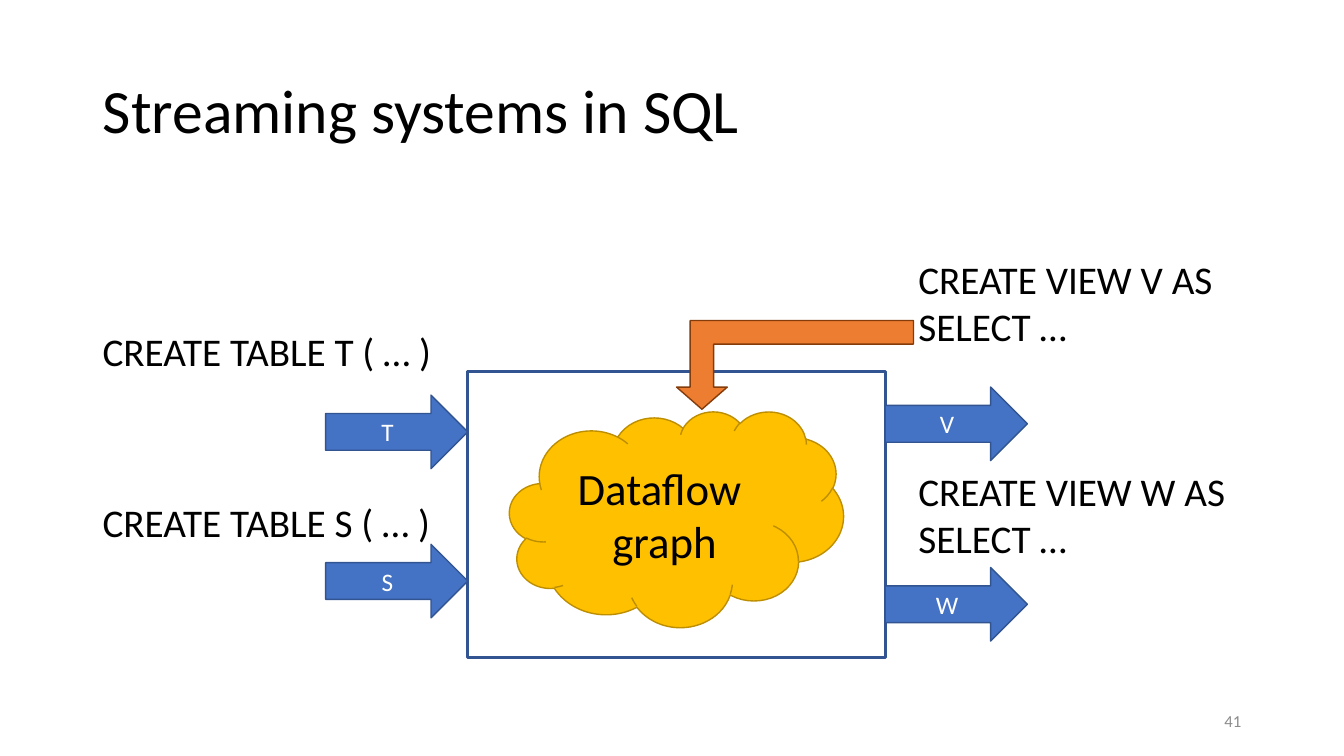
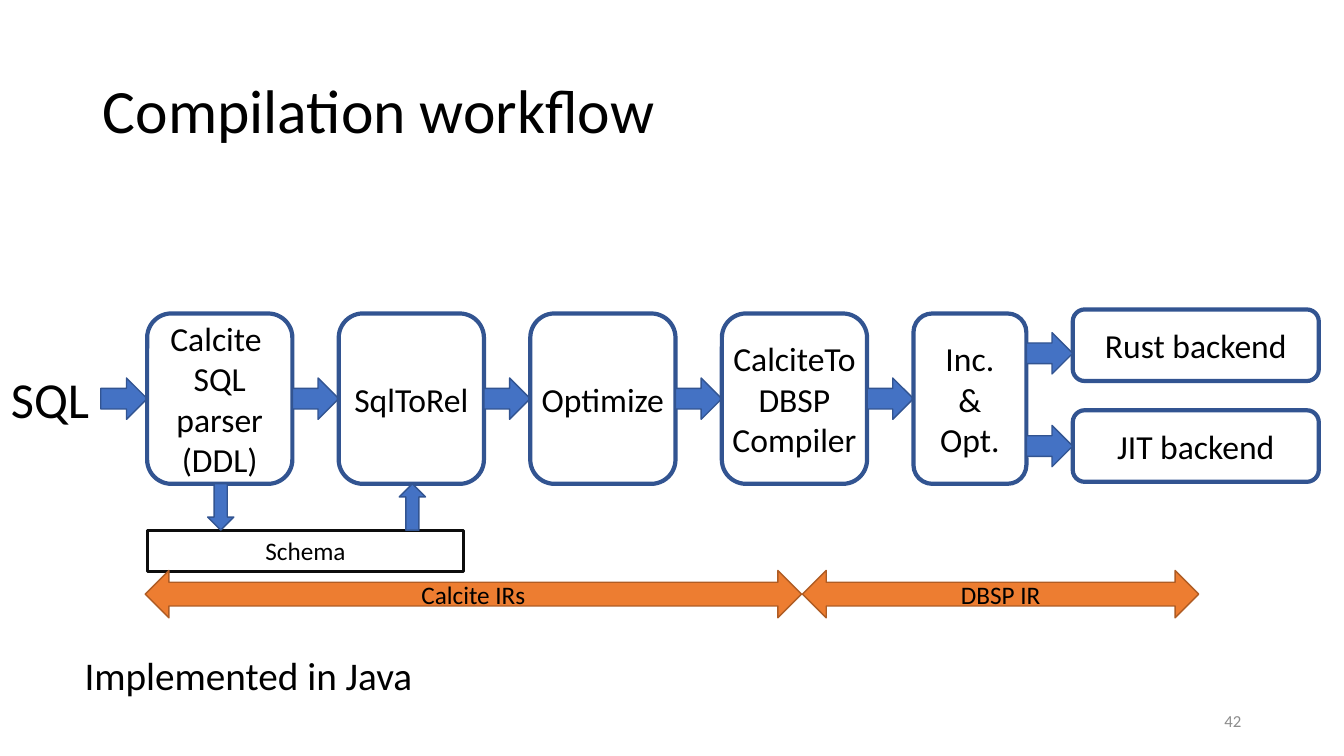
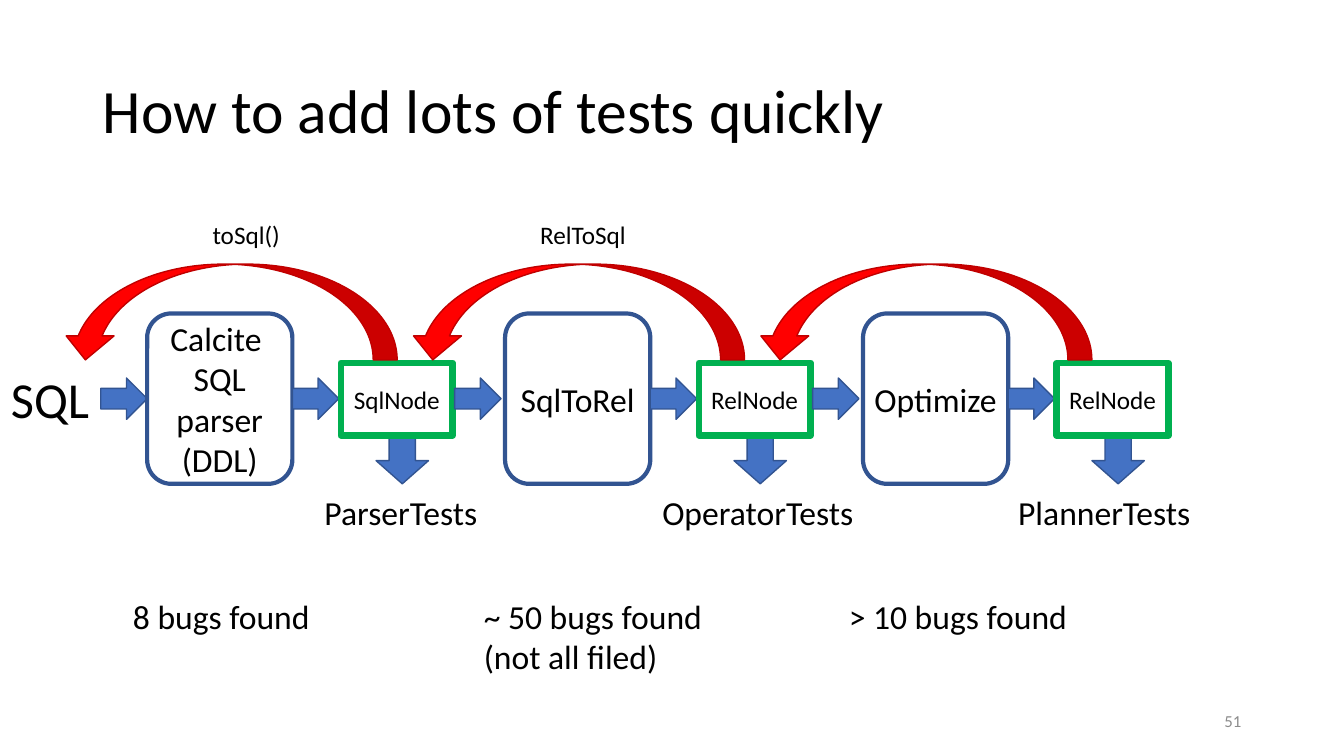
from pptx import Presentation
from pptx.dml.color import RGBColor
from pptx.enum.shapes import MSO_SHAPE as SHAPE
from pptx.enum.text import MSO_ANCHOR as ANCHOR, PP_ALIGN as ALIGN
from pptx.oxml.ns import qn
from pptx.util import Inches, Pt

FONT = "Calibri"
BLACK = RGBColor(0x00, 0x00, 0x00)
WHITE = RGBColor(0xFF, 0xFF, 0xFF)
GREY = RGBColor(0x8C, 0x8C, 0x8C)
INK = RGBColor(0x0D, 0x0D, 0x0D)
BLUE = RGBColor(0x44, 0x72, 0xC4)
NAVY = RGBColor(0x32, 0x54, 0x91)
ORANGE = RGBColor(0xED, 0x7D, 0x31)
RUST = RGBColor(0xAF, 0x5C, 0x24)
BROWN = RGBColor(0x84, 0x3C, 0x0B)
GOLD = RGBColor(0xFF, 0xC0, 0x00)
DARK_GOLD = RGBColor(0xBD, 0x8E, 0x00)
GREEN = RGBColor(0x00, 0xB0, 0x50)
RED = RGBColor(0xFF, 0x00, 0x00)
DARK_RED = RGBColor(0xC0, 0x00, 0x00)

# The pipeline row shared by the workflow and testing slides
ROW_LEFT, ROW_TOP = 1.46, 3.11
STAGE_W, STAGE_H = 1.44, 1.69
STEP_W, STEP_H = 0.46, 0.41
STEP_TOP = ROW_TOP + 0.64
PARSER = "Calcite \vSQL parser\v(DDL)"


def write(tf, text, size, color=BLACK, align=ALIGN.LEFT, anchor=ANCHOR.TOP,
          wrap=True, spacing=None, gap=0):
    """Fill a frame: newline starts a paragraph, vertical tab breaks a line."""
    tf.word_wrap = wrap
    tf.vertical_anchor = anchor
    for i, para in enumerate(text.split("\n")):
        p = tf.paragraphs[0] if i == 0 else tf.add_paragraph()
        p.alignment = align
        if spacing:
            p.line_spacing = spacing
        if i and gap:
            p.space_before = Pt(gap)
        for j, line in enumerate(para.split("\v")):
            if j:
                p.add_line_break()
            r = p.add_run()
            r.text = line
            r.font.name, r.font.size = FONT, Pt(size)
            r.font.color.rgb = color


def add_text(slide, box, text, size, **style):
    tb = slide.shapes.add_textbox(*map(Inches, box))
    write(tb.text_frame, text, size, **style)


def add_box(slide, kind, box, fill=None, line=NAVY, weight=1,
            text="", size=18, color=BLACK, wrap=True):
    s = slide.shapes.add_shape(kind, *map(Inches, box))
    s.shadow.inherit = False
    if fill is None:
        s.fill.background()
    else:
        s.fill.solid()
        s.fill.fore_color.rgb = fill
    s.line.color.rgb = line
    s.line.width = Pt(weight)
    if text:
        write(s.text_frame, text, size, color, ALIGN.CENTER, ANCHOR.MIDDLE, wrap)
    return s


def add_slide(prs, title, number):
    slide = prs.slides.add_slide(prs.slide_layouts[5])
    s = slide.shapes.title
    s.left, s.top, s.width, s.height = map(Inches, (0.92, 0.4, 11.5, 1.45))
    write(s.text_frame, title, 44, anchor=ANCHOR.MIDDLE, spacing=0.9)
    add_text(slide, (11.99, 6.95, 0.42, 0.4), str(number), 12, color=GREY,
             align=ALIGN.RIGHT, anchor=ANCHOR.MIDDLE)
    return slide


def add_stage(slide, left, text, width=STAGE_W, top=ROW_TOP, height=STAGE_H):
    add_box(slide, SHAPE.ROUNDED_RECTANGLE, (left, top, width, height), weight=3,
            text=text, size=24, wrap=text == PARSER)


def add_step(slide, left, top=STEP_TOP):
    add_box(slide, SHAPE.RIGHT_ARROW, (left, top, STEP_W, STEP_H), BLUE)


def add_sql_input(slide):
    add_text(slide, (0.01, 3.6, 0.99, 0.71), "SQL", 36, wrap=False)
    add_step(slide, ROW_LEFT - STEP_W)


def add_engine(slide, left, top, width, height):
    """Frame with its inputs, its outputs and the graph inside."""
    add_box(slide, SHAPE.RECTANGLE, (left, top, width, height), weight=2.25)
    arrow_w, arrow_h = 1.41, 0.73
    right = left + width
    for name, x, dy in (("T", left - arrow_w, 0.23), ("S", left - arrow_w, 1.71),
                        ("V", right, 0.15), ("W", right, 1.94)):
        add_box(slide, SHAPE.RIGHT_ARROW, (x, top + dy, arrow_w, arrow_h), BLUE,
                text=name, color=WHITE)
    bent = add_box(slide, SHAPE.BENT_UP_ARROW,
                   (left + width / 2, top - 0.51, 2.35, 0.88), ORANGE, BROWN)
    bent.rotation = 180
    for i, value in enumerate((0.265, 0.286, 0.25)):
        bent.adjustments[i] = value
    add_box(slide, SHAPE.CLOUD, (left + width * 0.1, top + 0.39, width * 0.8, 2.14),
            GOLD, DARK_GOLD, text="Dataflow \vgraph", size=32)


def streaming_slide(prs):
    slide = add_slide(prs, "Streaming systems in SQL", 41)
    add_text(slide, (0.92, 3.25, 4.14, 3.85),
             "CREATE TABLE T ( … )\nCREATE TABLE S ( … )", 28, spacing=0.9, gap=92)
    for view, top in (("V", 2.48), ("W", 4.59)):
        add_text(slide, (9.01, top, 4.04, 1.04),
                 f"CREATE VIEW {view} AS \vSELECT …", 28)
    add_engine(slide, 4.64, 3.69, 4.14, 2.83)


def add_backends(slide, left, top):
    for i, name in enumerate(("Rust backend", "JIT backend")):
        add_stage(slide, left + STEP_W, name, 2.44, top + i, 0.71)
        add_step(slide, left, top + 0.23 + 0.92 * i)


def add_schema(slide, left, top, pitch):
    """Schema store below the first two stages, with arrows in and out."""
    add_box(slide, SHAPE.RECTANGLE, (left, top + STEP_W, 3.14, 0.41),
            line=INK, weight=2.25, text="Schema")
    for i in range(2):
        arrow = add_box(slide, SHAPE.DOWN_ARROW,
                        (left + 0.6 + i * pitch, top, 0.26, STEP_W), BLUE)
        arrow.rotation = 180 * i


def workflow_slide(prs):
    slide = add_slide(prs, "Compilation workflow", 42)
    add_sql_input(slide)
    pitch = STAGE_W + STEP_W
    stages = (PARSER, "SqlToRel", "Optimize", "CalciteTo\vDBSP\vCompiler")
    for i, name in enumerate(stages):
        left = ROW_LEFT + i * pitch
        add_stage(slide, left, name)
        add_step(slide, left + STAGE_W)
    last, last_w = ROW_LEFT + len(stages) * pitch, 1.12
    add_stage(slide, last, "Inc.\v&\nOpt.", last_w)
    add_backends(slide, last + last_w, 3.07)
    add_schema(slide, ROW_LEFT, ROW_TOP + STAGE_H, pitch)
    for left, width, name in ((1.44, 6.51, "Calcite IRs"), (7.96, 3.93, "DBSP IR")):
        add_box(slide, SHAPE.LEFT_RIGHT_ARROW, (left, 5.66, width, 0.47),
                ORANGE, RUST, text=name)
    add_text(slide, (0.74, 6.41, 3.48, 0.57), "Implemented in Java", 28, wrap=False)


def add_tested_stage(slide, left, stage, node):
    """Stage, the node it produces and the arrow down to its tests."""
    node_left, node_w = left + 1.92, 1.11
    add_stage(slide, left, stage)
    add_step(slide, left + STAGE_W)
    add_box(slide, SHAPE.DOWN_ARROW, (left + 2.27, 4.34, 0.52, STEP_W), BLUE)
    add_box(slide, SHAPE.RECTANGLE, (node_left, 3.6, node_w, 0.72),
            line=GREEN, weight=4.5, text=node)
    return node_left + node_w


def add_back_arrow(slide, left):
    s = add_box(slide, SHAPE.CURVED_DOWN_ARROW, (left, 2.62, 3.33, 0.95), RED, DARK_RED)
    s._element.spPr.find(qn("a:xfrm")).set("flipH", "1")


def testing_slide(prs):
    slide = add_slide(prs, "How to add lots of tests quickly", 51)
    add_sql_input(slide)
    stages = ((PARSER, "SqlNode"), ("SqlToRel", "RelNode"), ("Optimize", "RelNode"))
    for i, (stage, node) in enumerate(stages):
        right = add_tested_stage(slide, ROW_LEFT + 3.55 * i, stage, node)
        if i < len(stages) - 1:
            add_step(slide, right + 0.02)
    for i in range(len(stages)):
        add_back_arrow(slide, 0.61 + 3.445 * i)
    captions = (
        (2.13, 0.4, 18, ((2.01, 0.88, "toSql()"), (5.26, 1.06, "RelToSql"))),
        (4.83, 0.5, 24, ((3.12, 1.73, "ParserTests"), (6.47, 2.12, "OperatorTests"),
                         (10, 1.93, "PlannerTests"))),
        (5.86, 0.5, 24, ((1.22, 1.97, "8 bugs found"),
                         (4.7, 2.38, "~ 50 bugs found\n(not all filed)"),
                         (8.32, 2.38, "> 10 bugs found"))),
    )
    for top, height, size, row in captions:
        for left, width, text in row:
            add_text(slide, (left, top, width, height), text, size, wrap=False)


def main():
    prs = Presentation()
    prs.slide_width, prs.slide_height = Inches(13.33), Inches(7.5)
    streaming_slide(prs)
    workflow_slide(prs)
    testing_slide(prs)
    prs.save("out.pptx")


if __name__ == "__main__":
    main()
